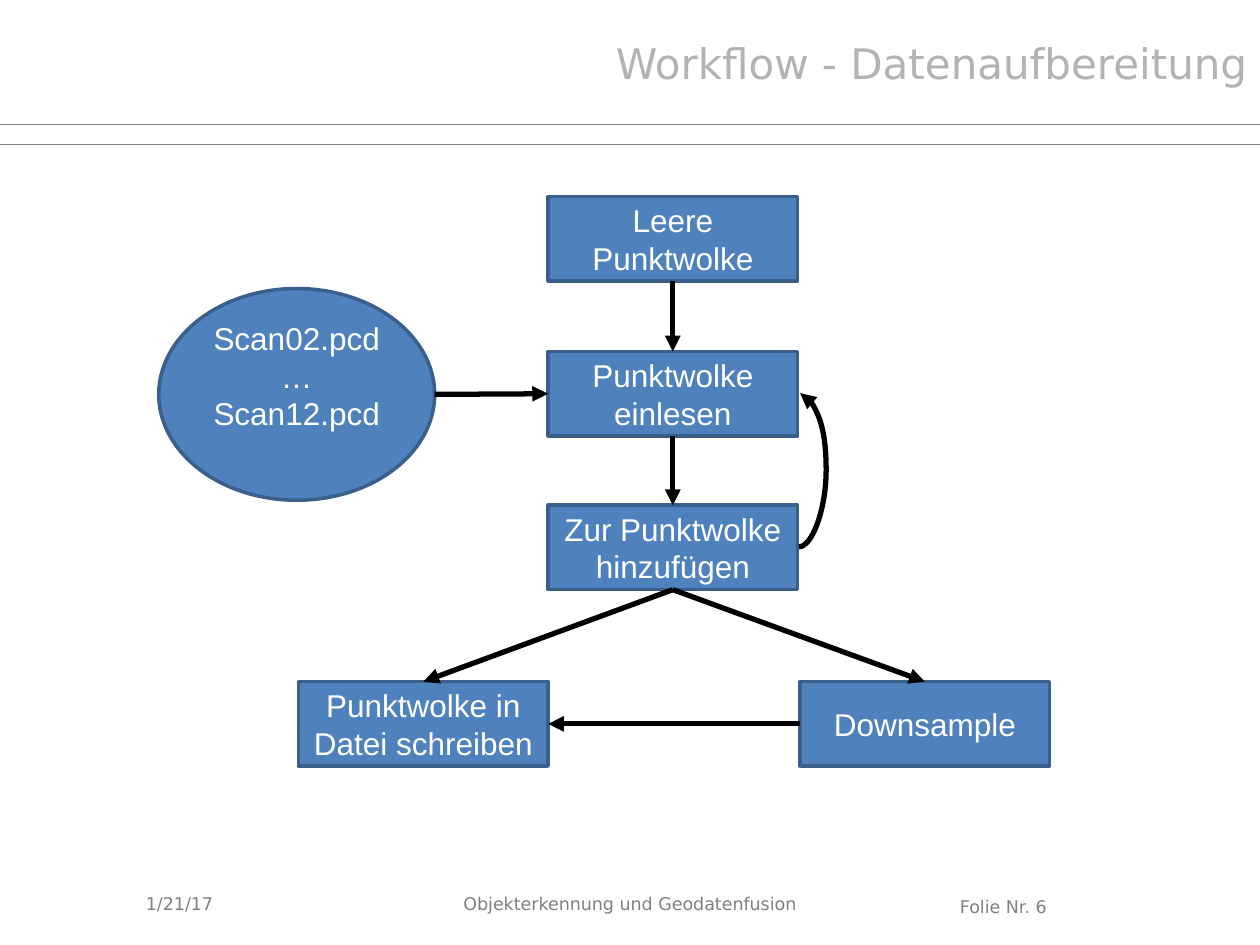
from lxml.etree import SubElement
from pptx import Presentation
from pptx.dml.color import RGBColor
from pptx.enum.shapes import MSO_CONNECTOR, MSO_SHAPE
from pptx.enum.text import MSO_ANCHOR, MSO_AUTO_SIZE, PP_ALIGN
from pptx.oxml.ns import qn
from pptx.util import Inches, Pt

COLORS = {
    "node": "4F81BD",
    "edge": "3A5F8B",
    "white": "FFFFFF",
    "arrow": "000000",
    "rule": "808080",
    "title": "B3B3B3",
}
TOP, LEFT, BOTTOM, RIGHT = range(4)
BOX_WIDTH, BOX_HEIGHT = 1.98, 0.67


class FlowPage:
    """Holds the style and the current slide."""

    heading_font = "DejaVu Sans"
    node_font = "Arial"

    def __init__(self, deck):
        self.page = deck.slides.add_slide(deck.slide_layouts[5])
        self.shapes = self.page.shapes

    def color(self, name):
        return RGBColor.from_string(COLORS[name])

    def set_text(self, shape, text, font, size, color, align, anchor):
        frame = shape.text_frame
        frame.text = text
        frame.word_wrap = True
        frame.auto_size = MSO_AUTO_SIZE.NONE
        frame.vertical_anchor = anchor
        para = frame.paragraphs[0]
        para.alignment = align
        para.font.name = font
        para.font.size = Pt(size)
        para.font.color.rgb = self.color(color)

    def title(self, text, left, top, width, height):
        title = self.shapes.title
        title.left, title.top = Inches(left), Inches(top)
        title.width, title.height = Inches(width), Inches(height)
        self.set_text(title, text, self.heading_font, 24, "title",
                      PP_ALIGN.RIGHT, MSO_ANCHOR.TOP)

    def label(self, text, left, top, width, height, anchor=MSO_ANCHOR.TOP):
        box = self.shapes.add_textbox(
            Inches(left), Inches(top), Inches(width), Inches(height))
        self.set_text(box, text, self.heading_font, 10, "rule",
                      PP_ALIGN.LEFT, anchor)

    def node(self, text, left, top, width=BOX_WIDTH, height=BOX_HEIGHT,
             kind=MSO_SHAPE.RECTANGLE):
        shape = self.shapes.add_shape(
            kind, Inches(left), Inches(top), Inches(width), Inches(height))
        shape.shadow.inherit = False
        shape.fill.solid()
        shape.fill.fore_color.rgb = self.color("node")
        shape.line.color.rgb = self.color("edge")
        shape.line.width = Pt(2)
        self.set_text(shape, text, self.node_font, 18, "white",
                      PP_ALIGN.CENTER, MSO_ANCHOR.MIDDLE)
        return shape

    def line(self, start, end, color, width, kind=MSO_CONNECTOR.STRAIGHT):
        points = [Inches(value) for value in (*start, *end)]
        line = self.shapes.add_connector(kind, *points)
        line.line.color.rgb = self.color(color)
        line.line.width = Pt(width)
        SubElement(line._element.spPr, qn("a:effectLst"))
        return line

    def arrow(self, start, end, kind=MSO_CONNECTOR.STRAIGHT):
        arrow = self.line(start, end, "arrow", 3, kind)
        outline = arrow._element.spPr.find(qn("a:ln"))
        SubElement(outline, qn("a:tailEnd"), type="triangle")
        return arrow

    def link(self, source, source_side, target, target_side):
        arrow = self.arrow((0, 0), (1, 1))
        arrow.begin_connect(source, source_side)
        arrow.end_connect(target, target_side)

    def loop(self, start, end, bend):
        """Curved arrow; bend is a multiple of its width."""
        arrow = self.arrow(start, end, MSO_CONNECTOR.CURVE)
        guides = arrow._element.spPr.find(qn("a:prstGeom")).get_or_add_avLst()
        SubElement(guides, qn("a:gd"), name="adj1",
                   fmla=f"val {round(bend * 100000)}")


def main():
    deck = Presentation()
    deck.slide_width, deck.slide_height = Inches(10), Inches(7.5)
    flow = FlowPage(deck)

    # Header and footer
    for height in (0.99, 1.15):
        flow.line((0, height), (10, height), "rule", 0.5)
    flow.title("Workflow - Datenaufbereitung", 4.69, 0.25, 5.31, 0.5)
    flow.label("1/21/17", 1.06, 6.97, 2.33, 0.4, MSO_ANCHOR.MIDDLE)
    flow.label("Objekterkennung und Geodatenfusion", 3.58, 7.04, 3.46, 0.26)
    flow.label("Folie Nr. 6", 7.52, 7.06, 1.89, 0.26)

    # Main column of steps
    column = 4.35
    empty = flow.node("Leere Punktwolke", column, 1.56)
    read = flow.node("Punktwolke einlesen", column, 2.79)
    add = flow.node("Zur Punktwolke hinzufügen", column, 4.01)

    # Results, one on each side of the column
    save = flow.node("Punktwolke in Datei schreiben", column - BOX_WIDTH, 5.41)
    sample = flow.node("Downsample", 6.35, 5.41)

    # Scan files, with the text raised above the middle
    scans = flow.node("Scan02.pcd\v…\vScan12.pcd", 1.26, 2.29, 2.19, 1.68,
                      MSO_SHAPE.OVAL)
    scans.text_frame.margin_bottom = Inches(0.35)

    # Arrows
    for source, source_side, target, target_side in (
        (empty, BOTTOM, read, TOP),
        (read, BOTTOM, add, TOP),
        (add, BOTTOM, save, TOP),
        (add, BOTTOM, sample, TOP),
        (sample, LEFT, save, RIGHT),
    ):
        flow.link(source, source_side, target, target_side)
    flow.arrow((3.45, 3.13), (column, 3.13)).end_connect(read, LEFT)
    flow.loop((6.34, 4.34), (6.35, 3.12), 22)

    deck.save("out.pptx")


if __name__ == "__main__":
    main()
